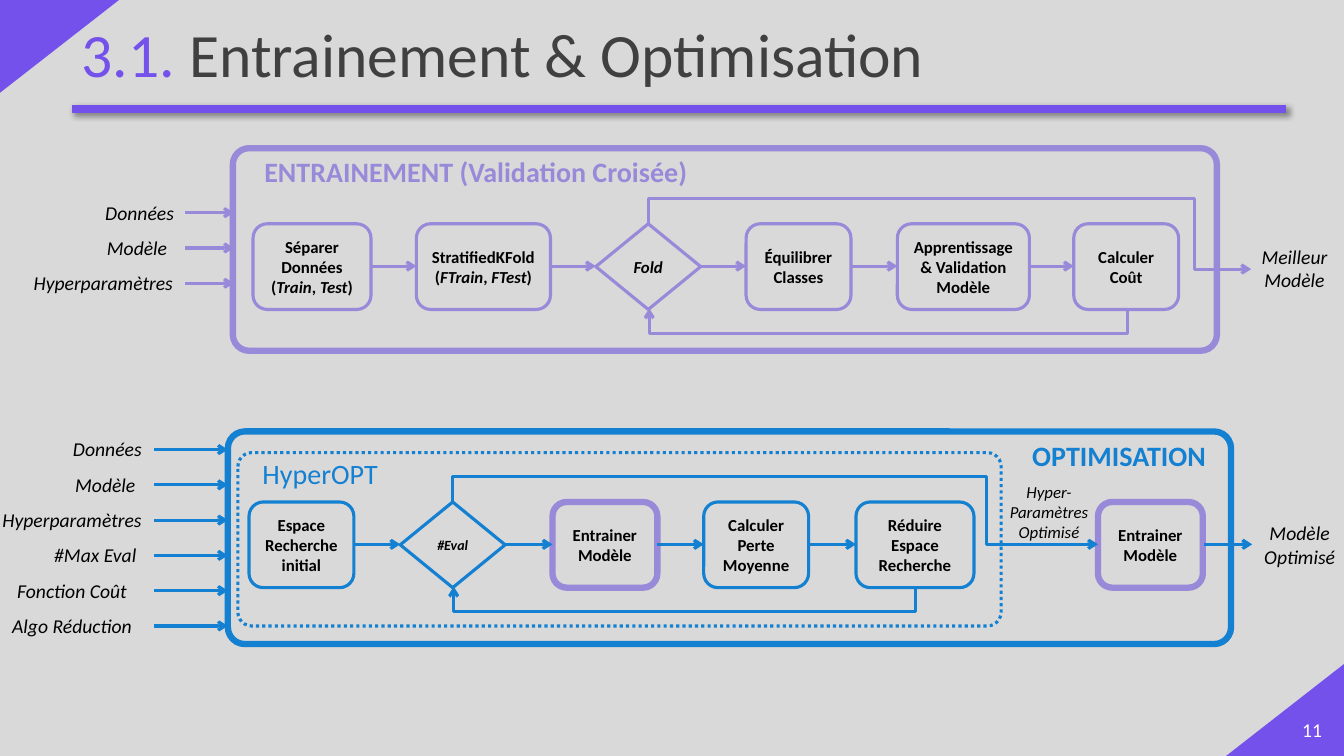
"""Build the "Entrainement & Optimisation" slide with its two process diagrams."""
from pptx import Presentation
from pptx import util as u
from pptx.dml.color import RGBColor
from pptx.enum import dml, shapes, text
from pptx.oxml import parse_xml
from pptx.oxml.ns import nsdecls, qn

PX = 9144
VIOLET, LILAC, BLUE = "7451EB", "9989D9", "1480D1"
BLACK, GREY, WHITE = "000000", "404040", "FFFFFF"
ROUND, DIAMOND = shapes.MSO_SHAPE.ROUNDED_RECTANGLE, shapes.MSO_SHAPE.DIAMOND
colour_of = RGBColor.from_string


def write(box, words, size=14, colour=BLACK, bold=False, italic=False, anchor=text.MSO_ANCHOR.TOP):
    """Fill a box with centred text; parts between asterisks are italic."""
    frame = box.text_frame
    frame.word_wrap = True
    frame.vertical_anchor = anchor
    para = frame.paragraphs[0]
    para.alignment = text.PP_ALIGN.CENTER
    for index, part in enumerate(words.split("*")):
        span = para.add_run()
        span.text = part
        span.font.name = "Calibri"
        span.font.size = u.Pt(size)
        span.font.bold = bold
        span.font.italic = italic or index % 2 == 1
        span.font.color.rgb = colour_of(colour)


def connect(start, end, colour, tip="tailEnd", bend=None, width=2.25):
    """Draw a line with an optional arrow tip, bent through the given x and y."""
    kind = shapes.MSO_CONNECTOR.ELBOW if bend else shapes.MSO_CONNECTOR.STRAIGHT
    line = board.add_connector(kind, *[value * PX for value in (*start, *end)])
    line.line.color.rgb = colour_of(colour)
    line.line.width = u.Pt(width)
    properties = line._element.spPr
    if tip:
        properties.find(qn("a:ln")).append(parse_xml(f'<a:{tip} {nsdecls("a")} type="arrow"/>'))
    properties.append(parse_xml(f'<a:effectLst {nsdecls("a")}/>'))
    if bend:
        geometry = properties.find(qn("a:prstGeom"))
        geometry.set("prst", "bentConnector4")
        guides = geometry.get_or_add_avLst()
        for number, (a, via, b) in enumerate(zip(start, bend, end), 1):
            share = round(100000 * (via - a) / (b - a))
            guides.append(parse_xml(f'<a:gd {nsdecls("a")} name="adj{number}" fmla="val {share}"/>'))
    return line


deck = Presentation()
deck.slide_width, deck.slide_height = 1333 * PX, 750 * PX
page = deck.slides.add_slide(deck.slide_layouts[5])
page.background.fill.solid()
page.background.fill.fore_color.rgb = colour_of("D9D9D9")
board = page.shapes

for left, top, turn in [(13, -13, 90), (1229, 645, 270)]:
    corner = board.add_shape(shapes.MSO_SHAPE.RIGHT_TRIANGLE, left * PX, top * PX, 92 * PX, 118 * PX)
    corner.rotation = turn
    corner.shadow.inherit = False
    corner.fill.solid()
    corner.fill.fore_color.rgb = colour_of(VIOLET)
    corner.line.fill.background()

rule = connect((71, 108), (1275, 108), VIOLET, tip=None, width=6)
rule._element.spPr.find(qn("a:effectLst")).append(parse_xml(
    f'<a:outerShdw {nsdecls("a")} blurRad="50800" dist="38100" dir="2700000" algn="tl" rotWithShape="0">'
    '<a:srgbClr val="000000"><a:alpha val="40000"/></a:srgbClr></a:outerShdw>'))

title = board.title
title.left, title.top, title.width, title.height = [value * PX for value in (71, -15, 1236, 145)]
write(title, "3.1.", size=44, colour=VIOLET, anchor=text.MSO_ANCHOR.MIDDLE)
write(title, " Entrainement & Optimisation", size=44, colour=GREY, anchor=text.MSO_ANCHOR.MIDDLE)
title.text_frame.paragraphs[0].alignment = text.PP_ALIGN.LEFT
title.text_frame.paragraphs[0].line_spacing = 0.9

frames = [
    (231, 147, 976, 201, LILAC, 4.5, None),
    (226, 428, 995, 211, BLUE, 4.5, None),
    (236, 449, 757, 172, BLUE, 2.25, dml.MSO_LINE.ROUND_DOT),
]
for left, top, width, height, colour, weight, dash in frames:
    frame = board.add_shape(ROUND, left * PX, top * PX, width * PX, height * PX)
    frame.adjustments[0] = 0.08
    frame.shadow.inherit = False
    frame.fill.background()
    frame.line.color.rgb = colour_of(colour)
    frame.line.width = u.Pt(weight)
    frame.line.dash_style = dash

training = [
    ("Séparer Données (*Train*, *Test*)", 251, 117, ROUND, LILAC, 2.25),
    ("StratifiedKFold (*FTrain*, *FTest*)", 413, 133, ROUND, LILAC, 2.25),
    ("*Fold*", 591, 104, DIAMOND, LILAC, 2.25),
    ("Équilibrer Classes", 740, 104, ROUND, LILAC, 2.25),
    ("Apprentissage & Validation Modèle", 890, 131, ROUND, LILAC, 2.25),
    ("Calculer Coût", 1065, 104, ROUND, LILAC, 2.25),
]
tuning = [
    ("Espace Recherche initial", 247, 104, ROUND, BLUE, 2.25),
    ("*#Eval*", 397, 104, DIAMOND, BLUE, 2.25),
    ("Entrainer Modèle", 548, 104, ROUND, LILAC, 4.5),
    ("Calculer Perte Moyenne", 698, 104, ROUND, BLUE, 2.25),
    ("Réduire Espace Recherche", 849, 117, ROUND, BLUE, 2.25),
    ("Entrainer Modèle", 1089, 104, ROUND, LILAC, 4.5),
]
for steps, linked, top, link_colour in [(training, 6, 222, LILAC), (tuning, 5, 498, BLUE)]:
    for words, left, width, form, colour, weight in steps:
        step = board.add_shape(form, left * PX, top * PX, width * PX, 85 * PX)
        step.shadow.inherit = False
        step.fill.background()
        step.line.color.rgb = colour_of(colour)
        step.line.width = u.Pt(weight)
        size = 10 if words == "*#Eval*" else 12
        write(step, words, size=size, bold=True, anchor=text.MSO_ANCHOR.MIDDLE)
    for before, after in zip(steps[:linked], steps[1:linked]):
        connect((before[1] + before[2], top + 42), (after[1], top + 42), link_colour)

connect((1118, 308), (644, 306), LILAC, bend=(1118, 331))
connect((1241, 267), (643, 222), LILAC, tip="headEnd", bend=(1185, 197))
connect((908, 584), (450, 582), BLUE, bend=(908, 607))
connect((1089, 540), (449, 498), BLUE, tip="headEnd", bend=(978, 473))
connect((1194, 540), (1242, 540), BLUE)

training_inputs = [("Données", 93, 91), ("Modèle", 88, 96), ("Hyperparamètres", 21, 163)]
tuning_inputs = [("Données", 61, 91), ("Modèle", 56, 97), ("Hyperparamètres", -10, 163),
                 ("#Max Eval", 37, 115), ("Fonction Coût", -10, 163), ("Algo Réduction", -10, 163)]
labels = []
for inputs, first, start, end, colour in [(training_inputs, 211, 184, 232, LILAC),
                                          (tuning_inputs, 446, 153, 226, BLUE)]:
    for index, (words, left, width) in enumerate(inputs):
        middle = first + 35 * index
        connect((start, middle), (end, middle), colour)
        labels.append((words, left, middle - 17, width, 34, dict(italic=True)))

labels += [
    ("Meilleur Modèle", 1241, 238, 86, 57, dict(italic=True)),
    ("Modèle Optimisé", 1242, 512, 94, 57, dict(italic=True)),
    ("Hyper-Paramètres Optimisé", 982, 473, 117, 71, dict(size=12, italic=True)),
    ("ENTRAINEMENT (Validation Croisée)", 225, 148, 494, 44, dict(size=20, colour=LILAC, bold=True)),
    ("OPTIMISATION", 1005, 430, 210, 44, dict(size=20, colour=BLUE, bold=True)),
    ("HyperOPT", 237, 448, 161, 44, dict(size=20, colour=BLUE)),
    ("11", 1275, 704, 53, 40, dict(colour=WHITE, anchor=text.MSO_ANCHOR.MIDDLE)),
]
for words, left, top, width, height, style in labels:
    label = board.add_textbox(left * PX, top * PX, width * PX, height * PX)
    write(label, words, **style)

deck.save("out.pptx")
